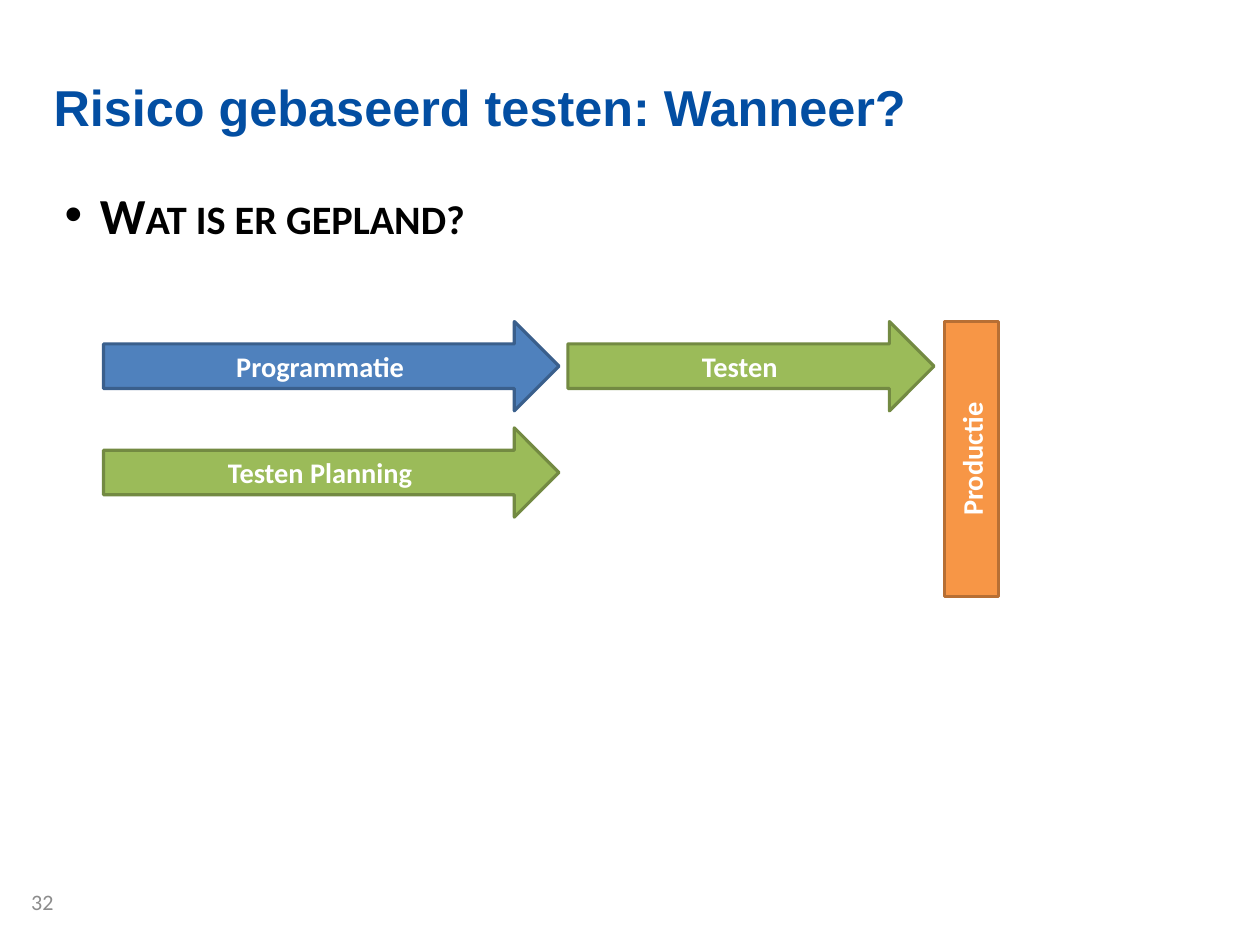
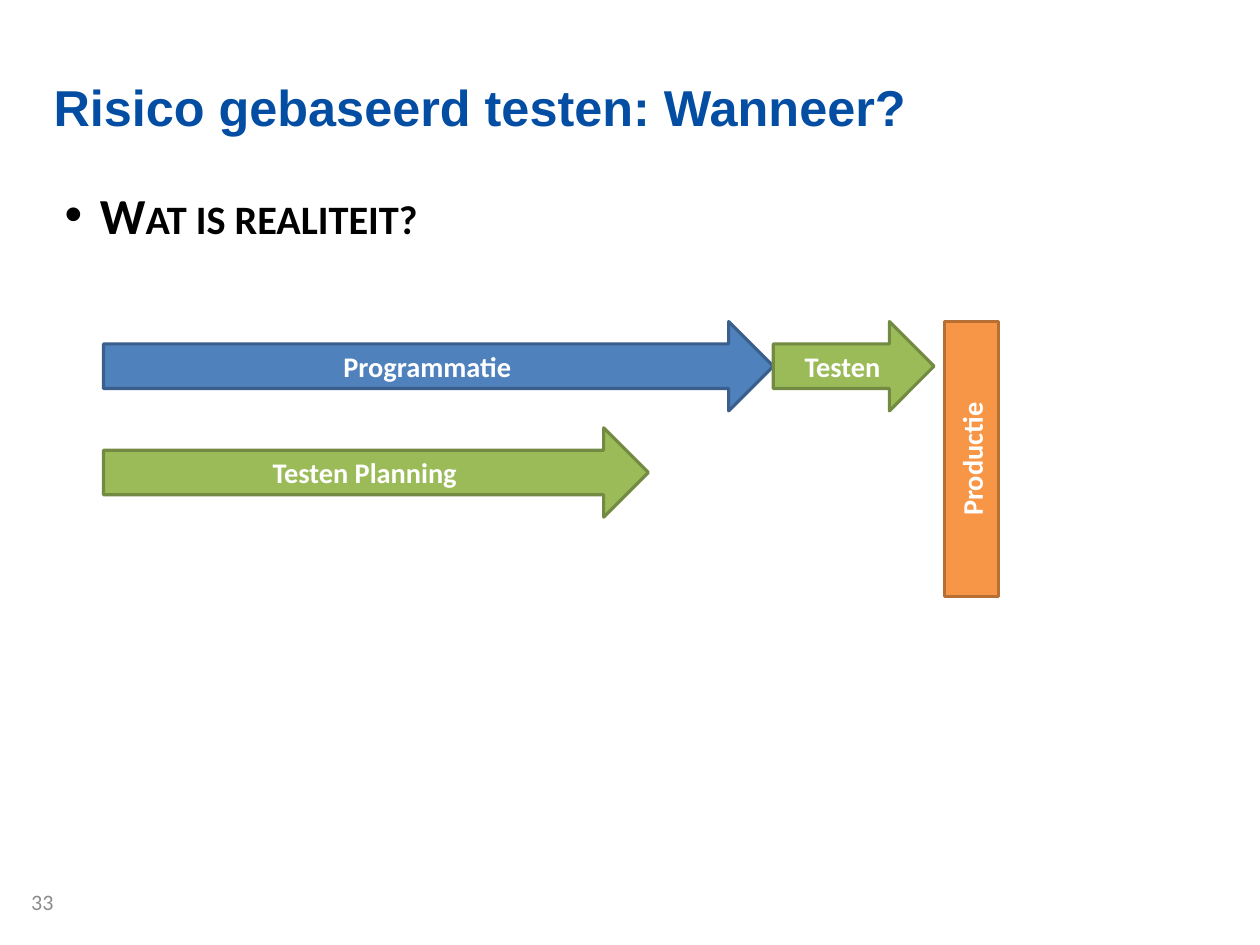
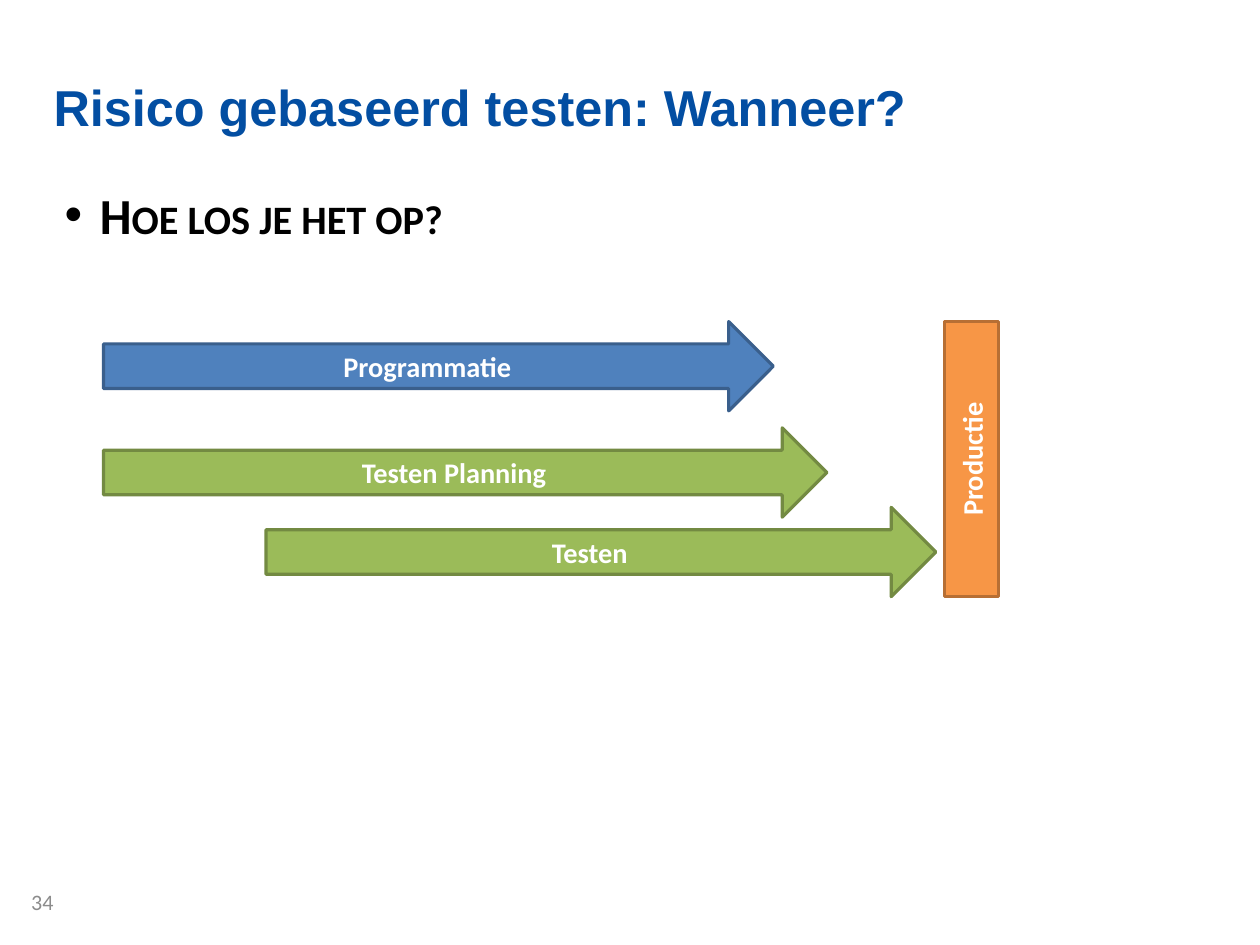
from lxml import etree
from pptx import Presentation
from pptx.dml.color import RGBColor
from pptx.enum.shapes import MSO_SHAPE
from pptx.enum.text import MSO_ANCHOR, PP_ALIGN
from pptx.oxml.ns import qn
from pptx.util import Inches, Mm, Pt

ARROW, RECTANGLE = MSO_SHAPE.RIGHT_ARROW, MSO_SHAPE.RECTANGLE
TOP, MIDDLE = MSO_ANCHOR.TOP, MSO_ANCHOR.MIDDLE
LEFT, CENTER, RIGHT = PP_ALIGN.LEFT, PP_ALIGN.CENTER, PP_ALIGN.RIGHT

COLORS = {
    "title": "034EA2", "text": "000000", "number": "8C8C8C", "label": "FFFFFF",
    "build": "4F81BD", "build line": "3A5F8C",
    "test": "9BBB59", "test line": "738A42",
    "release": "F79646", "release line": "B76F34",
}
CELL = Mm(2)
MARGIN, CONTENT_WIDTH = 6, 129.2
TIMELINE_LEFT = 11.6
LANES = (36, 47.9, 56.8)
ARROW_HEIGHT = 10
RELEASE_LEFT, RELEASE_WIDTH = 105.8, 6

TITLE = "Risico gebaseerd testen: Wanneer?"
FIRST_NUMBER = 32
SLIDES = [
    ("Wat is er gepland?", [
        ("Programmatie", "build", 0, 0, 51),
        ("Testen", "test", 0, 52, 41),
        ("Testen Planning", "test", 1, 0, 51)]),
    ("Wat is realiteit?", [
        ("Programmatie", "build", 0, 0, 75),
        ("Testen", "test", 0, 75, 18),
        ("Testen Planning", "test", 1, 0, 61)]),
    ("Hoe los je het op?", [
        ("Programmatie", "build", 0, 0, 75),
        ("Testen", "test", 2, 18.2, 75),
        ("Testen Planning", "test", 1, 0, 81)]),
]


class Deck:
    """Holds the shared style and the current slide; lengths are grid cells."""

    def __init__(self):
        self.presentation = Presentation()
        self.presentation.slide_width = Inches(11.11)
        self.presentation.slide_height = Inches(8.33)
        self.slide = None

    def add_slide(self, number):
        self.slide = self.presentation.slides.add_slide(self.presentation.slide_layouts[6])
        self.text(TITLE, (MARGIN, 7.9, CONTENT_WIDTH, 10), 32, "title",
                  font="Arial", bold=True, inset=(0, 0.05))
        self.text(str(number), (0, 99.5, MARGIN, 2.5), 14, "number", align=RIGHT)

    def set_text(self, shape, text, size, color, font="Calibri", bold=False,
                 align=LEFT, anchor=TOP, inset=(0.1, 0.05)):
        frame = shape.text_frame
        frame.word_wrap = True
        frame.vertical_anchor = anchor
        frame.margin_left = frame.margin_right = Inches(inset[0])
        frame.margin_top = frame.margin_bottom = Inches(inset[1])
        paragraph = frame.paragraphs[0]
        paragraph.text = text
        paragraph.alignment = align
        paragraph.font.name = font
        paragraph.font.size = Pt(size)
        paragraph.font.bold = bold
        paragraph.font.color.rgb = RGBColor.from_string(COLORS[color])
        return paragraph

    def text(self, text, box, size, color, inset=(0, 0), **style):
        shape = self.slide.shapes.add_textbox(*(round(value * CELL) for value in box))
        return self.set_text(shape, text, size, color, inset=inset, **style)

    def bullet(self, text):
        paragraph = self.text(text, (MARGIN, 20, CONTENT_WIDTH, 72), 32, "text",
                              bold=True, inset=(0.1, 0.05))
        properties = paragraph._p.get_or_add_pPr()
        properties.set("marL", str(Inches(0.31)))
        properties.set("indent", str(-Inches(0.31)))
        properties.find(qn("a:defRPr")).set("cap", "small")
        bullet_font = etree.Element(qn("a:buFont"), typeface="Arial")
        bullet_sign = etree.Element(qn("a:buChar"), char="•")
        properties.insert(0, bullet_font)
        properties.insert(1, bullet_sign)

    def block(self, kind, text, box, color):
        shape = self.slide.shapes.add_shape(kind, *(round(value * CELL) for value in box))
        shape.shadow.inherit = False
        shape.fill.solid()
        shape.fill.fore_color.rgb = RGBColor.from_string(COLORS[color])
        shape.line.color.rgb = RGBColor.from_string(COLORS[color + " line"])
        shape.line.width = Pt(2)
        self.set_text(shape, text, 18, "label", bold=True, align=CENTER, anchor=MIDDLE)
        return shape

    def arrow(self, text, color, lane, start, length):
        box = (TIMELINE_LEFT + start, LANES[lane], length, ARROW_HEIGHT)
        self.block(ARROW, text, box, color)

    def release(self, text):
        length = LANES[-1] + ARROW_HEIGHT - LANES[0]
        shift = (length - RELEASE_WIDTH) / 2
        box = (RELEASE_LEFT - shift, LANES[0] + shift, length, RELEASE_WIDTH)
        self.block(RECTANGLE, text, box, "release").rotation = 270


def main():
    deck = Deck()
    for number, (question, arrows) in enumerate(SLIDES, FIRST_NUMBER):
        deck.add_slide(number)
        deck.bullet(question)
        for arrow in arrows:
            deck.arrow(*arrow)
        deck.release("Productie")
    deck.presentation.save("out.pptx")


if __name__ == "__main__":
    main()
